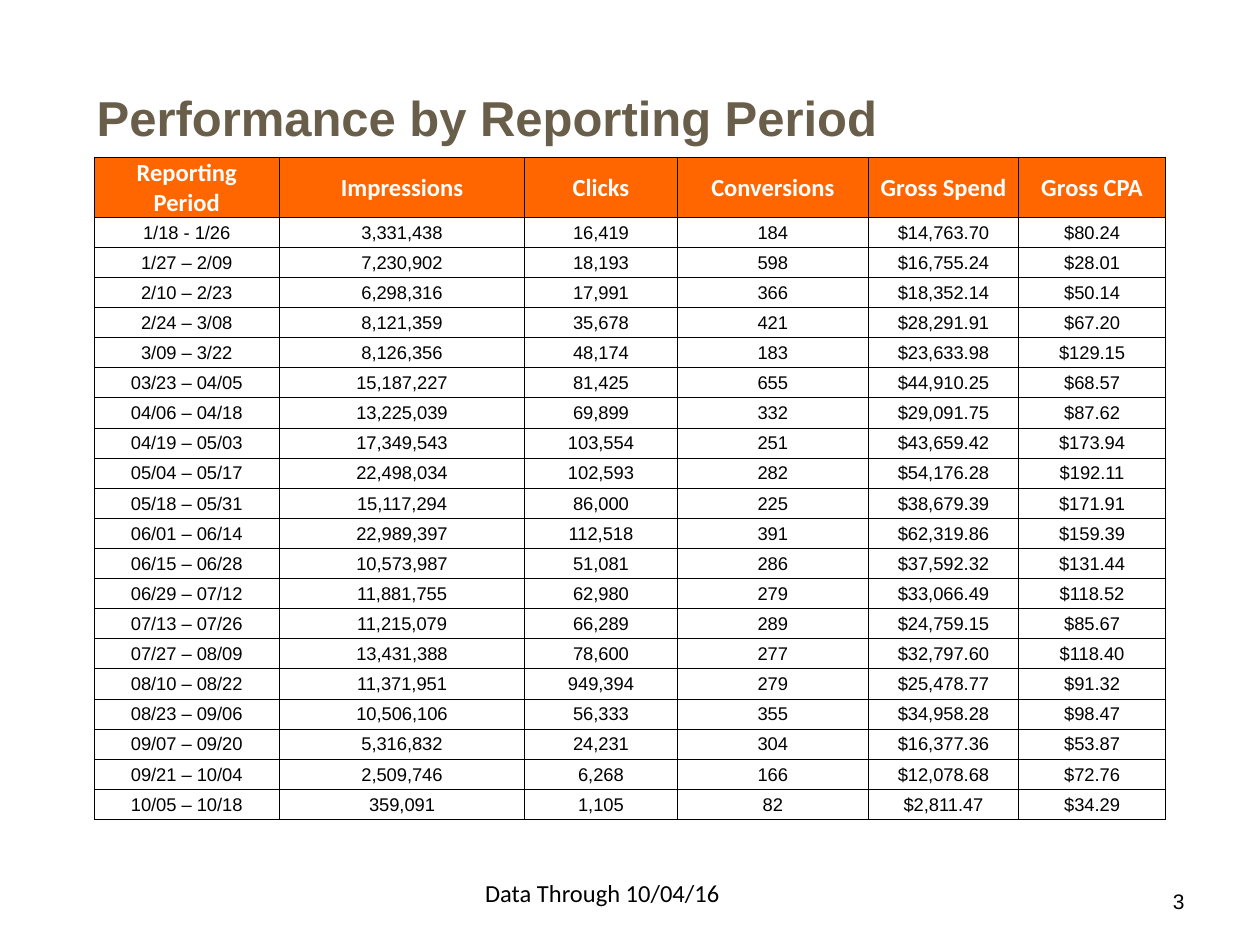
import lxml.etree
import pptx
import pptx.dml.color
import pptx.enum.text
import pptx.oxml.ns
import pptx.util

Cm = pptx.util.Cm
Pt = pptx.util.Pt
RGBColor = pptx.dml.color.RGBColor
Align = pptx.enum.text.PP_ALIGN
Anchor = pptx.enum.text.MSO_ANCHOR
qn = pptx.oxml.ns.qn

BLACK = RGBColor(0x00, 0x00, 0x00)
WHITE = RGBColor(0xFF, 0xFF, 0xFF)
ORANGE = RGBColor(0xFF, 0x66, 0x00)
TAUPE = RGBColor(0x69, 0x5E, 0x4A)

HEADERS = ("Reporting\nPeriod", "Impressions", "Clicks", "Conversions",
           "Gross Spend", "Gross CPA")
PERIODS = (
    ("1/18 - 1/26", "3,331,438", "16,419", "184", "$14,763.70", "$80.24"),
    ("1/27 – 2/09", "7,230,902", "18,193", "598", "$16,755.24", "$28.01"),
    ("2/10 – 2/23", "6,298,316", "17,991", "366", "$18,352.14", "$50.14"),
    ("2/24 – 3/08", "8,121,359", "35,678", "421", "$28,291.91", "$67.20"),
    ("3/09 – 3/22", "8,126,356", "48,174", "183", "$23,633.98", "$129.15"),
    ("03/23 – 04/05", "15,187,227", "81,425", "655", "$44,910.25", "$68.57"),
    ("04/06 – 04/18", "13,225,039", "69,899", "332", "$29,091.75", "$87.62"),
    ("04/19 – 05/03", "17,349,543", "103,554", "251", "$43,659.42", "$173.94"),
    ("05/04 – 05/17", "22,498,034", "102,593", "282", "$54,176.28", "$192.11"),
    ("05/18 – 05/31", "15,117,294", "86,000", "225", "$38,679.39", "$171.91"),
    ("06/01 – 06/14", "22,989,397", "112,518", "391", "$62,319.86", "$159.39"),
    ("06/15 – 06/28", "10,573,987", "51,081", "286", "$37,592.32", "$131.44"),
    ("06/29 – 07/12", "11,881,755", "62,980", "279", "$33,066.49", "$118.52"),
    ("07/13 – 07/26", "11,215,079", "66,289", "289", "$24,759.15", "$85.67"),
    ("07/27 – 08/09", "13,431,388", "78,600", "277", "$32,797.60", "$118.40"),
    ("08/10 – 08/22", "11,371,951", "949,394", "279", "$25,478.77", "$91.32"),
    ("08/23 – 09/06", "10,506,106", "56,333", "355", "$34,958.28", "$98.47"),
    ("09/07 – 09/20", "5,316,832", "24,231", "304", "$16,377.36", "$53.87"),
    ("09/21 – 10/04", "2,509,746", "6,268", "166", "$12,078.68", "$72.76"),
    ("10/05 – 10/18", "359,091", "1,105", "82", "$2,811.47", "$34.29"),
)
COLUMN_WIDTHS = (3.73, 4.95, 3.07, 3.86, 3.02, 2.97)
HEADER_HEIGHT = 1.17
BODY_HEIGHT = 12.14


def write_text(text_frame, text, font="Arial", size=10.5, color=BLACK,
               bold=False, align=Align.LEFT):
    """Write one paragraph for each line of text."""
    text_frame.text = text
    for paragraph in text_frame.paragraphs:
        paragraph.alignment = align
        for run in paragraph.runs:
            run.font.name = font
            run.font.size = Pt(size)
            run.font.bold = bold
            run.font.color.rgb = color


def add_text_box(slide, left, top, width, height, text, anchor=Anchor.TOP, **text_format):
    box = slide.shapes.add_textbox(Cm(left), Cm(top), Cm(width), Cm(height))
    box.text_frame.word_wrap = True
    box.text_frame.vertical_anchor = anchor
    write_text(box.text_frame, text, **text_format)


def add_borders(cell, color=BLACK, width=0.5):
    properties = cell._tc.get_or_add_tcPr()
    for side in ("a:lnL", "a:lnR", "a:lnT", "a:lnB"):
        line = lxml.etree.SubElement(properties, qn(side), w=str(Pt(width)))
        fill = lxml.etree.SubElement(line, qn("a:solidFill"))
        lxml.etree.SubElement(fill, qn("a:srgbClr"), val=str(color))


def fill_cell(cell, text, fill=None, **text_format):
    cell.margin_left = cell.margin_right = cell.margin_top = Cm(0.02)
    cell.margin_bottom = 0
    cell.vertical_anchor = Anchor.MIDDLE
    write_text(cell.text_frame, text, align=Align.CENTER, **text_format)
    # Borders must precede the fill in the cell properties
    add_borders(cell)
    if fill is None:
        cell.fill.background()
    else:
        cell.fill.solid()
        cell.fill.fore_color.rgb = fill


def add_performance_table(slide, left, top):
    frame = slide.shapes.add_table(
        len(PERIODS) + 1, len(HEADERS), Cm(left), Cm(top),
        Cm(sum(COLUMN_WIDTHS)), Cm(HEADER_HEIGHT + BODY_HEIGHT))
    table = frame.table
    table.first_row = True
    table.horz_banding = False
    for column, width in zip(table.columns, COLUMN_WIDTHS):
        column.width = Cm(width)
    for index, row in enumerate(table.rows):
        row.height = Cm(BODY_HEIGHT / len(PERIODS) if index else HEADER_HEIGHT)

    # Header row
    for cell, header in zip(table.rows[0].cells, HEADERS):
        fill_cell(cell, header, fill=ORANGE, font="Calibri", size=14,
                  color=WHITE, bold=True)

    # One row for each reporting period
    for row_index, period in enumerate(PERIODS, start=1):
        for column_index, value in enumerate(period):
            fill_cell(table.cell(row_index, column_index), value)


def main():
    presentation = pptx.Presentation()
    presentation.slide_width = Cm(25.4)
    presentation.slide_height = Cm(19.05)
    slide = presentation.slides.add_slide(presentation.slide_layouts[6])

    # Footer note
    add_text_box(slide, 9.53, 17.58, 6.99, 1.63, "Data Through 10/04/16",
                 font="Calibri", size=14)
    # Title
    add_text_box(slide, 1.7, 0.76, 22.02, 3.18, "Performance by Reporting Period",
                 anchor=Anchor.MIDDLE, size=28, color=TAUPE, bold=True)
    # Slide number
    add_text_box(slide, 17.78, 17.65, 6.35, 1.02, "3", anchor=Anchor.MIDDLE,
                 size=12, align=Align.RIGHT)
    # Results
    add_performance_table(slide, 1.9, 3.17)

    presentation.save("out.pptx")


if __name__ == "__main__":
    main()
